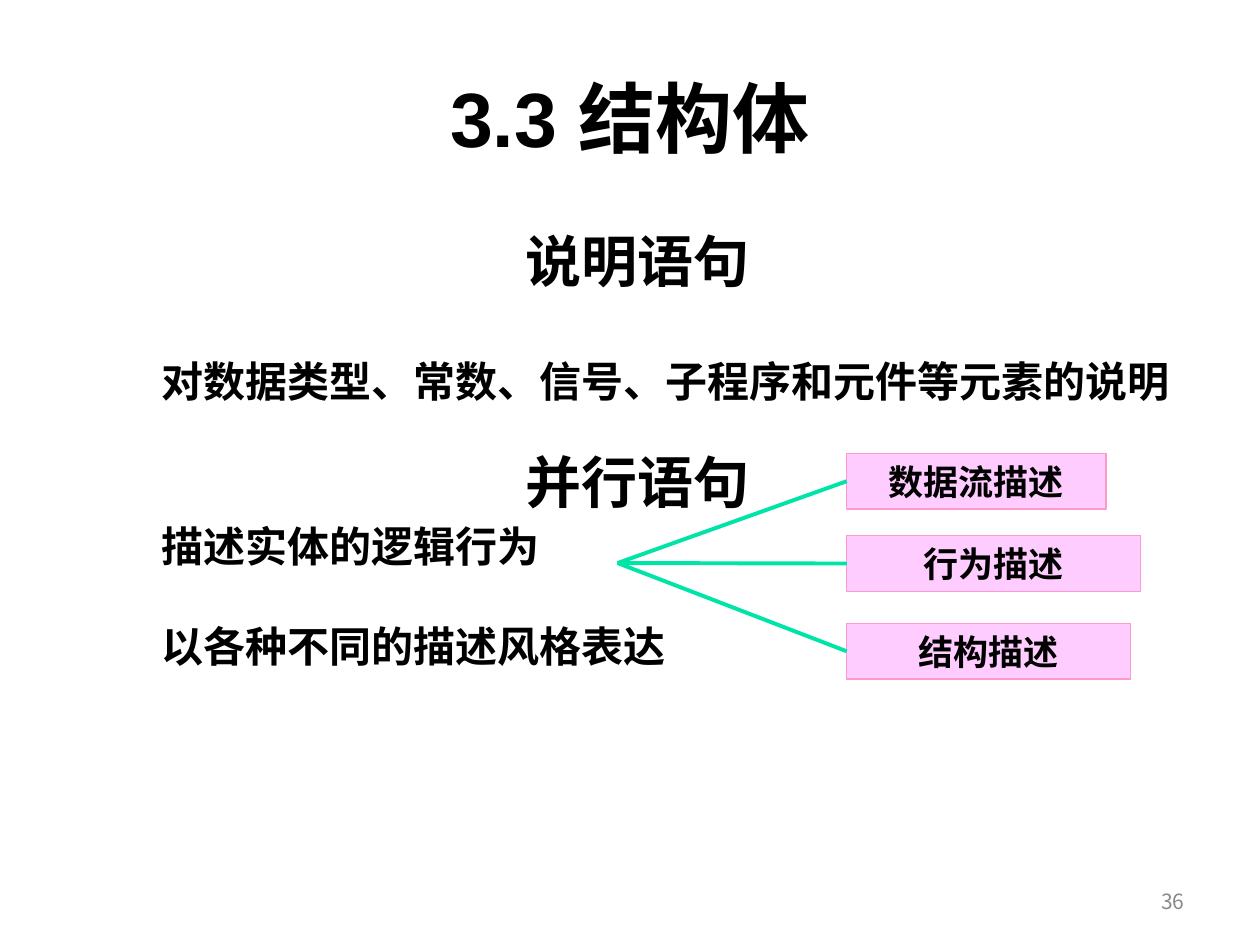
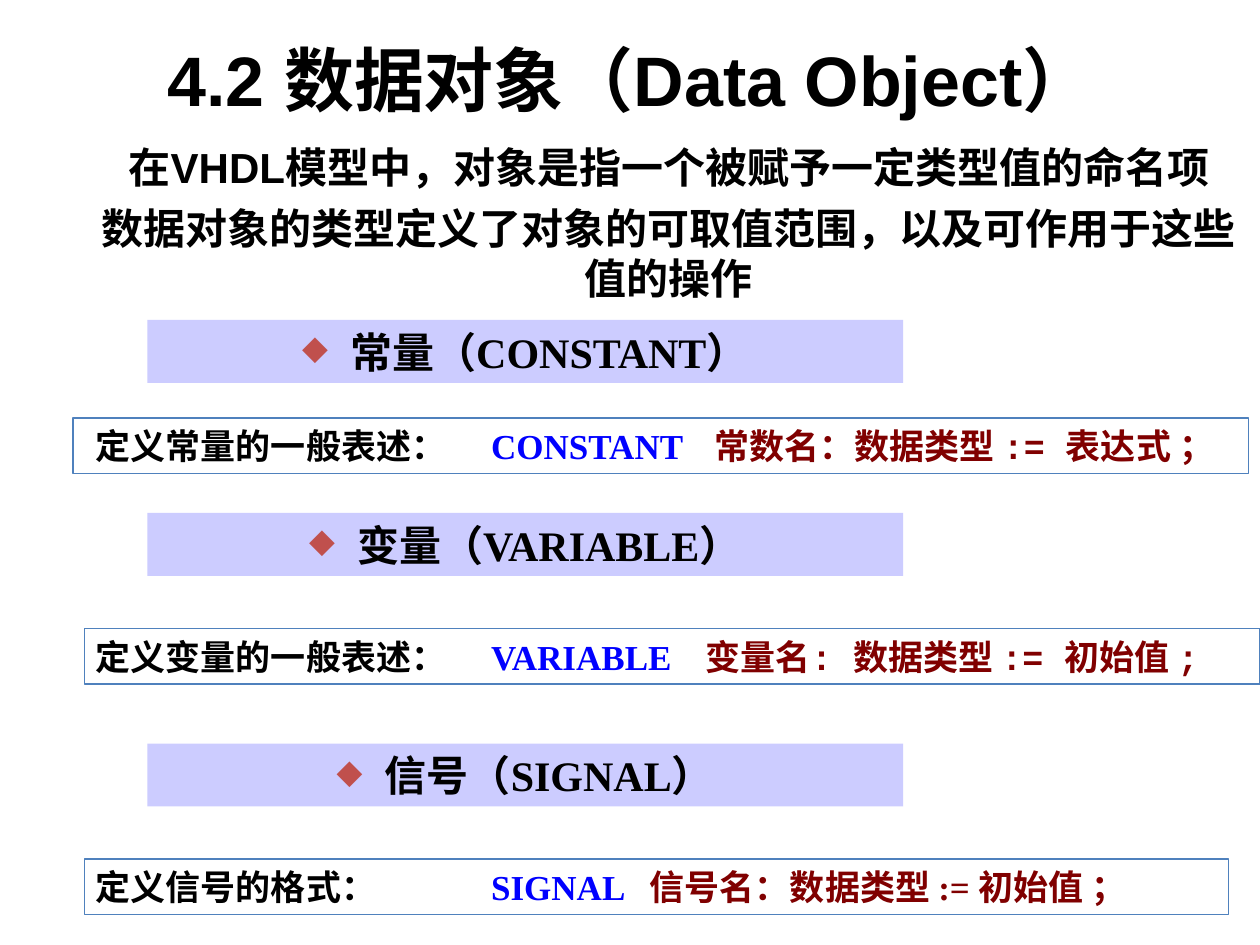
from lxml.etree import SubElement
from pptx import Presentation
from pptx.dml.color import RGBColor
from pptx.enum.shapes import MSO_CONNECTOR, MSO_SHAPE
from pptx.enum.text import MSO_ANCHOR, PP_ALIGN
from pptx.oxml.ns import qn
from pptx.util import Cm, Pt

COLORS = {
    "text": "000000", "number": "898989", "keyword": "0000FF", "syntax": "800000",
    "card": "FFCCFF", "card_line": "FF99CC", "branch": "00E4A8",
    "band": "CCCCFF", "bullet": "C0504D", "frame": "4F81BD",
}
SANS, SERIF, MONO, CJK = "Arial", "Times New Roman", "Courier New", "Noto Sans CJK SC"
LEFT, CENTER, RIGHT = PP_ALIGN.LEFT, PP_ALIGN.CENTER, PP_ALIGN.RIGHT

# text, size (pt), alignment, left indent (cm), space before (pt)
ARCHITECTURE_BODY = [
    ("说明语句", 32, CENTER, 0.3, 8),
    ("对数据类型、常数、信号、子程序和元件等元素的说明", 24, LEFT, 1.73, 35),
    ("并行语句", 32, CENTER, 0.3, 24),
    ("描述实体的逻辑行为", 24, LEFT, 1.73, 3.3),
    ("以各种不同的描述风格表达", 24, LEFT, 1.73, 28),
]
# text, top, width (cm)
STYLE_CARDS = [("数据流描述", 9.14, 5.23), ("行为描述", 10.8, 5.92), ("结构描述", 12.57, 5.72)]
CARD_LEFT, CARD_HEIGHT = 17.07, 1.12
BRANCH_START = (12.45, 11.35)

OBJECT_BODY = [
    ("在VHDL模型中，对象是指一个被赋予一定类型值的命名项", 24, CENTER, 0.3, 6),
    ("数据对象的类型定义了对象的可取值范围，以及可作用于这些值的操作", 24, CENTER, 0.3, 6),
]
BAND_LEFT, BAND_WIDTH, BAND_HEIGHT = 2.97, 15.24, 1.27
LABEL_X, KEYWORD_X = 1.93, 9.9
DATA_OBJECTS = [
    dict(band="常量（CONSTANT）", band_top=6.45, box=(1.47, 8.43, 23.7, 1.12),
         label="定义常量的一般表述：", keyword="CONSTANT",
         syntax="常数名：数据类型 := 表达式 ；", syntax_x=14.4, font=MONO),
    dict(band="变量（VARIABLE）", band_top=10.34, box=(1.7, 12.67, 23.7, 1.12),
         label="定义变量的一般表述：", keyword="VARIABLE",
         syntax="变量名: 数据类型 := 初始值 ;", syntax_x=14.23, font=MONO),
    dict(band="信号（SIGNAL）", band_top=14.99, box=(1.7, 17.32, 23.06, 1.12),
         label="定义信号的格式：", keyword="SIGNAL",
         syntax="信号名：数据类型 := 初始值 ；", syntax_x=13.1, font=SERIF),
]


def rgb(name):
    return RGBColor.from_string(COLORS[name])


def style_run(r, size, font=SANS, color="text", bold=True):
    r.font.size = Pt(size)
    r.font.name = font
    r.font.bold = bold
    r.font.color.rgb = rgb(color)


def add_text(s, box, lines, anchor=MSO_ANCHOR.TOP, **style):
    """Add a text box; each line is (text, size, alignment, indent, space before)."""
    tf = s.shapes.add_textbox(*map(Cm, box)).text_frame
    tf.word_wrap = True
    tf.vertical_anchor = anchor
    tf.text = "\n".join(line[0] for line in lines)
    for p, (_, size, align, indent, before) in zip(tf.paragraphs, lines):
        p.alignment = align
        p.space_before = Pt(before)
        p._p.get_or_add_pPr().set("marL", str(Cm(indent)))
        style_run(p.runs[0], size, **style)


def add_title(s, text, size, top):
    add_text(s, (1.27, top, 22.86, 3.18), [(text, size, CENTER, 0, 0)], MSO_ANCHOR.MIDDLE)


def add_rect(s, box, fill=None, line=None):
    sp = s.shapes.add_shape(MSO_SHAPE.RECTANGLE, *map(Cm, box))
    sp.shadow.inherit = False
    if fill:
        sp.fill.solid()
        sp.fill.fore_color.rgb = rgb(fill)
    else:
        sp.fill.background()
    if line:
        sp.line.color.rgb = rgb(line)
        sp.line.width = Pt(0.75)
    else:
        sp.line.fill.background()
    sp.text_frame.word_wrap = True
    sp.text_frame.vertical_anchor = MSO_ANCHOR.MIDDLE
    return sp


def add_label(sp, text, size):
    p = sp.text_frame.paragraphs[0]
    p.text = text
    p.alignment = CENTER
    style_run(p.runs[0], size, SERIF)
    return p


def add_branch(s, end):
    line = s.shapes.add_connector(MSO_CONNECTOR.STRAIGHT, *map(Cm, BRANCH_START + end))
    line.line.color.rgb = rgb("branch")
    line.line.width = Pt(2.25)
    SubElement(line._element.spPr, qn("a:effectLst"))


def add_diamond_bullet(p):
    pPr = p._p.get_or_add_pPr()
    pPr.set("marL", str(Cm(0.97)))
    pPr.set("indent", str(-Cm(0.97)))
    SubElement(SubElement(pPr, qn("a:buClr")), qn("a:srgbClr"), val=COLORS["bullet"])
    SubElement(pPr, qn("a:buSzPct"), val="80000")
    SubElement(pPr, qn("a:buChar"), char="◆")


def add_syntax_box(s, item):
    """Frame a declaration whose label, keyword and syntax sit on tab stops."""
    tf = add_rect(s, item["box"], line="frame").text_frame
    tf.margin_left = Cm(LABEL_X - item["box"][0])
    tf.margin_right = 0
    p = tf.paragraphs[0]
    p.alignment = LEFT
    tabs = SubElement(p._p.get_or_add_pPr(), qn("a:tabLst"))
    for x in (KEYWORD_X, item["syntax_x"]):
        SubElement(tabs, qn("a:tab"), pos=str(Cm(x - LABEL_X)), algn="l")
    for text, font, color in [
        (item["label"] + "\t", SERIF, "text"),
        (item["keyword"] + "\t", SERIF, "keyword"),
        (item["syntax"], item["font"], "syntax"),
    ]:
        r = p.add_run()
        r.text = text
        style_run(r, 20, font, color)


def build_architecture(s):
    add_text(s, (1.27, 4.45, 22.86, 12.57), ARCHITECTURE_BODY)
    for text, top, width in STYLE_CARDS:
        card = add_rect(s, (CARD_LEFT, top, width, CARD_HEIGHT), "card", "card_line")
        add_label(card, text, 20)
        add_branch(s, (CARD_LEFT, top + CARD_HEIGHT / 2))
    add_title(s, "3.3 结构体", 44, 0.76)
    add_text(s, (18.21, 17.65, 5.92, 1.02), [("36", 12, RIGHT, 0, 0)], MSO_ANCHOR.MIDDLE,
             font=CJK, color="number", bold=False)


def build_data_objects(s):
    add_title(s, "4.2 数据对象（Data Object）", 40, 0)
    add_text(s, (1.27, 2.72, 24.13, 12.57), OBJECT_BODY)
    for item in DATA_OBJECTS:
        band = add_rect(s, (BAND_LEFT, item["band_top"], BAND_WIDTH, BAND_HEIGHT), "band")
        add_diamond_bullet(add_label(band, item["band"], 24))
        add_syntax_box(s, item)


def main():
    prs = Presentation()
    prs.slide_width, prs.slide_height = Cm(25.4), Cm(19.05)
    for build in (build_architecture, build_data_objects):
        build(prs.slides.add_slide(prs.slide_layouts[6]))
    prs.save("out.pptx")


if __name__ == "__main__":
    main()
